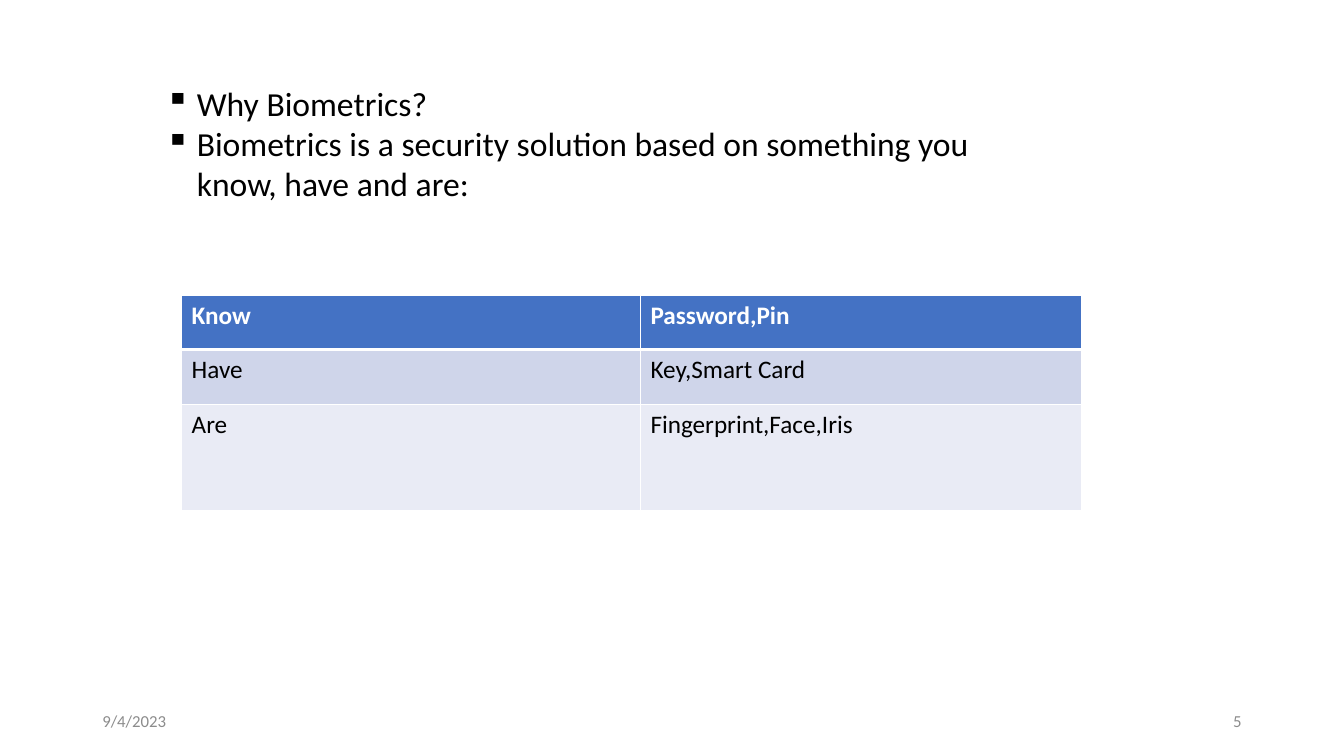
from dataclasses import dataclass
from typing import Any

import pptx
import pptx.dml.color
import pptx.enum.text
import pptx.oxml
import pptx.oxml.ns
import pptx.util

PX = 9525  # EMU per px, 96 px to the inch
ALIGN = pptx.enum.text.PP_ALIGN
ANCHOR = pptx.enum.text.MSO_ANCHOR
AUTO_SIZE = pptx.enum.text.MSO_AUTO_SIZE


@dataclass(frozen=True)
class Theme:
    font: str = "Calibri"
    black: str = "000000"
    white: str = "FFFFFF"
    grey: str = "8C8C8C"
    header: str = "4472C4"
    bands: tuple[str, str] = ("CFD5EA", "E9EBF5")
    body_pt: int = 24
    table_pt: int = 18
    footer_pt: int = 12


THEME = Theme()


@dataclass(frozen=True)
class TextBlock:
    box: tuple[int, int, int, int]
    lines: tuple[str, ...]
    size: int
    color: str
    align: Any = ALIGN.LEFT
    anchor: Any = ANCHOR.TOP
    auto_size: Any = AUTO_SIZE.NONE
    bullet: str = ""


@dataclass(frozen=True)
class TableRow:
    height: int
    texts: tuple[str, str]
    fill: str
    color: str = THEME.black
    bold: bool = False
    top_pt: int = 1
    bottom_pt: int = 1


BULLET_INDENT = 30
FOOTER_TOP, FOOTER_WIDTH, FOOTER_HEIGHT = 667, 288, 38

BLOCKS = (
    TextBlock(
        (148, 74, 828, 310),
        ("Why Biometrics?",
         "Biometrics is a security solution based on something you know, have and are:"),
        THEME.body_pt, THEME.black, auto_size=AUTO_SIZE.SHAPE_TO_FIT_TEXT, bullet="▪"),
    TextBlock((88, FOOTER_TOP, FOOTER_WIDTH, FOOTER_HEIGHT), ("9/4/2023",),
              THEME.footer_pt, THEME.grey, anchor=ANCHOR.MIDDLE),
    TextBlock((904, FOOTER_TOP, FOOTER_WIDTH, FOOTER_HEIGHT), ("5",),
              THEME.footer_pt, THEME.grey, align=ALIGN.RIGHT, anchor=ANCHOR.MIDDLE),
)

TABLE_LEFT, TABLE_TOP = 173, 281
COLUMN_WIDTHS = (437, 420)
ROWS = (
    TableRow(52, ("Know", "Password,Pin"), THEME.header, THEME.white, bold=True, bottom_pt=3),
    TableRow(52, ("Have", "Key,Smart Card"), THEME.bands[0], top_pt=3),
    TableRow(101, ("Are", "Fingerprint,Face,Iris"), THEME.bands[1]),
)


def rgb(color: str) -> pptx.dml.color.RGBColor:
    return pptx.dml.color.RGBColor.from_string(color)


def format_font(font: Any, size: int, color: str, bold: bool = False) -> None:
    values = {"name": THEME.font, "size": pptx.util.Pt(size), "bold": bold}
    for name, value in values.items():
        setattr(font, name, value)
    font.color.rgb = rgb(color)


def add_bullet(p: Any, char: str) -> None:
    pPr = p._p.get_or_add_pPr()
    pPr.set("marL", str(BULLET_INDENT * PX))
    pPr.set("indent", str(-BULLET_INDENT * PX))
    pPr.append(pptx.oxml.parse_xml(
        f'<a:buChar {pptx.oxml.ns.nsdecls("a")} char="{char}"/>'))


def add_text(s: Any, block: TextBlock) -> None:
    sp = s.shapes.add_textbox(*(length * PX for length in block.box))
    tf = sp.text_frame
    values = {"word_wrap": True, "auto_size": block.auto_size,
              "vertical_anchor": block.anchor}
    for name, value in values.items():
        setattr(tf, name, value)
    for i, line in enumerate(block.lines):
        p = tf.add_paragraph() if i else tf.paragraphs[0]
        p.alignment = block.align
        if block.bullet:
            add_bullet(p, block.bullet)
        r = p.add_run()
        r.text = line
        format_font(r.font, block.size, block.color)


def add_borders(cell: Any, top_pt: int, bottom_pt: int) -> None:
    """Insert the border lines ahead of the cell fill, as the schema requires."""
    tcPr = cell._tc.get_or_add_tcPr()
    widths = {"lnL": 1, "lnR": 1, "lnT": top_pt, "lnB": bottom_pt}
    for i, (tag, width) in enumerate(widths.items()):
        tcPr.insert(i, pptx.oxml.parse_xml(
            f'<a:{tag} {pptx.oxml.ns.nsdecls("a")} w="{pptx.util.Pt(width)}">'
            f'<a:solidFill><a:srgbClr val="{THEME.white}"/></a:solidFill></a:{tag}>'))


def add_biometrics_table(s: Any) -> None:
    height = sum(row.height for row in ROWS)
    frame = s.shapes.add_table(len(ROWS), len(COLUMN_WIDTHS), TABLE_LEFT * PX,
                               TABLE_TOP * PX, sum(COLUMN_WIDTHS) * PX, height * PX)
    table = frame.table
    for column, width in zip(table.columns, COLUMN_WIDTHS):
        column.width = width * PX
    for i, row in enumerate(ROWS):
        table.rows[i].height = row.height * PX
        for j, text in enumerate(row.texts):
            cell = table.cell(i, j)
            cell.fill.solid()
            cell.fill.fore_color.rgb = rgb(row.fill)
            add_borders(cell, row.top_pt, row.bottom_pt)
            r = cell.text_frame.paragraphs[0].add_run()
            r.text = text
            format_font(r.font, THEME.table_pt, row.color, row.bold)


def main() -> None:
    prs = pptx.Presentation()
    prs.slide_width, prs.slide_height = 1280 * PX, 720 * PX
    s = prs.slides.add_slide(prs.slide_layouts.get_by_name("Blank"))
    body, *footers = BLOCKS
    add_text(s, body)
    add_biometrics_table(s)
    for footer in footers:
        add_text(s, footer)
    prs.save("out.pptx")


if __name__ == "__main__":
    main()
